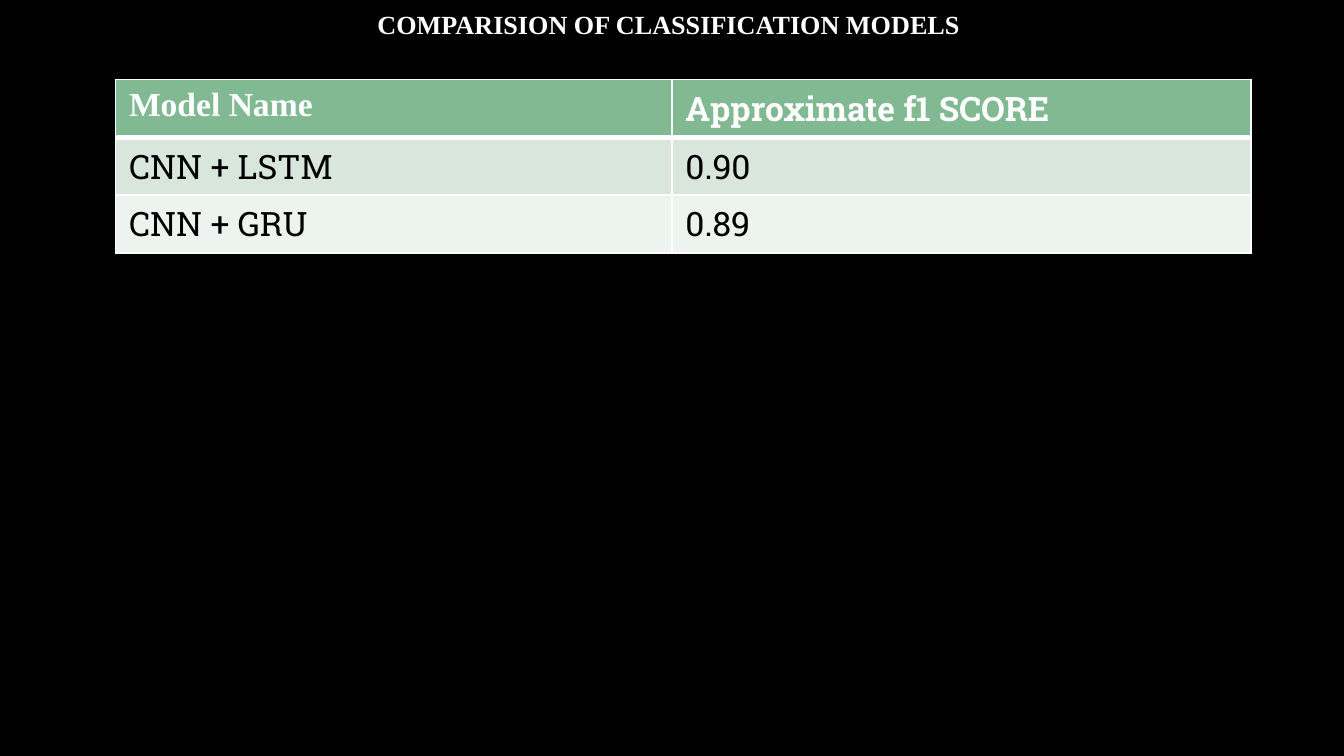
import pptx
import pptx.dml.color
import pptx.enum.text
import pptx.oxml
import pptx.oxml.ns
import pptx.util
from pptx.util import Inches

RGBColor = pptx.dml.color.RGBColor
BLACK = RGBColor(0x00, 0x00, 0x00)
WHITE = RGBColor(0xFF, 0xFF, 0xFF)
GREEN = RGBColor(0x81, 0xB9, 0x92)
PALE_GREEN = RGBColor(0xD8, 0xE6, 0xDC)
MIST = RGBColor(0xED, 0xF3, 0xEE)
SERIF = "Times New Roman"
SLAB = "Roboto Slab"


def format_run(r, name, size, color, bold):
    r.font.color.rgb = color
    values = {"name": name, "size": pptx.util.Pt(size), "bold": bold}
    for key, value in values.items():
        setattr(r.font, key, value)


def add_border(cell, side, width):
    cell._tc.get_or_add_tcPr().append(pptx.oxml.parse_xml(
        f'<a:{side} {pptx.oxml.ns.nsdecls("a")} w="{pptx.util.Pt(width)}">'
        f'<a:solidFill><a:srgbClr val="{WHITE}"/></a:solidFill></a:{side}>'))


# Widescreen 16:9 slide
prs = pptx.Presentation()
prs.slide_width = Inches(10)
prs.slide_height = prs.slide_width * 9 // 16
s = prs.slides.add_slide(prs.slide_layouts[5])
s.background.fill.solid()
s.background.fill.fore_color.rgb = BLACK

# Title
sp = s.shapes.title
sp.left, sp.top = Inches(0.69), Inches(-0.07)
sp.width, sp.height = Inches(8.62), Inches(0.78)
tf = sp.text_frame
frame_format = {
    "word_wrap": True,
    "auto_size": pptx.enum.text.MSO_AUTO_SIZE.NONE,
    "vertical_anchor": pptx.enum.text.MSO_ANCHOR.TOP,
    "margin_left": Inches(0.1),
    "margin_top": Inches(0.1),
    "margin_right": Inches(0.1),
    "margin_bottom": Inches(0.1),
}
for key, value in frame_format.items():
    setattr(tf, key, value)
p = tf.paragraphs[0]
p.alignment = pptx.enum.text.PP_ALIGN.CENTER
p.line_spacing = 1.15
r = p.add_run()
r.text = "COMPARISION OF CLASSIFICATION MODELS "
format_run(r, SERIF, 14, WHITE, True)

# Score table: texts, row height, fill
rows = [
    (("Model Name", "Approximate f1 SCORE"), 0.33, GREEN),
    (("CNN + LSTM", "0.90"), 0.41, PALE_GREEN),
    (("CNN + GRU", "0.89"), 0.37, MIST),
]
table = s.shapes.add_table(len(rows), 2, Inches(0.86), Inches(0.59),
                           Inches(8.45), Inches(1.11)).table
for column, width in zip(table.columns, (4.14, 4.31)):
    column.width = Inches(width)

for i, (texts, height, fill) in enumerate(rows):
    table.rows[i].height = Inches(height)
    header = i == 0
    for j, text in enumerate(texts):
        cell = table.cell(i, j)
        # The rule under the header is heavier than the grid
        borders = {"lnL": 1, "lnR": 1, "lnT": 3 if i == 1 else 1,
                   "lnB": 3 if header else 1}
        for side, width in borders.items():
            add_border(cell, side, width)
        cell.fill.solid()
        cell.fill.fore_color.rgb = fill
        r = cell.text_frame.paragraphs[0].add_run()
        r.text = text
        format_run(r, SERIF if header and j == 0 else SLAB, 18,
                   WHITE if header else BLACK, header)

prs.save("out.pptx")
